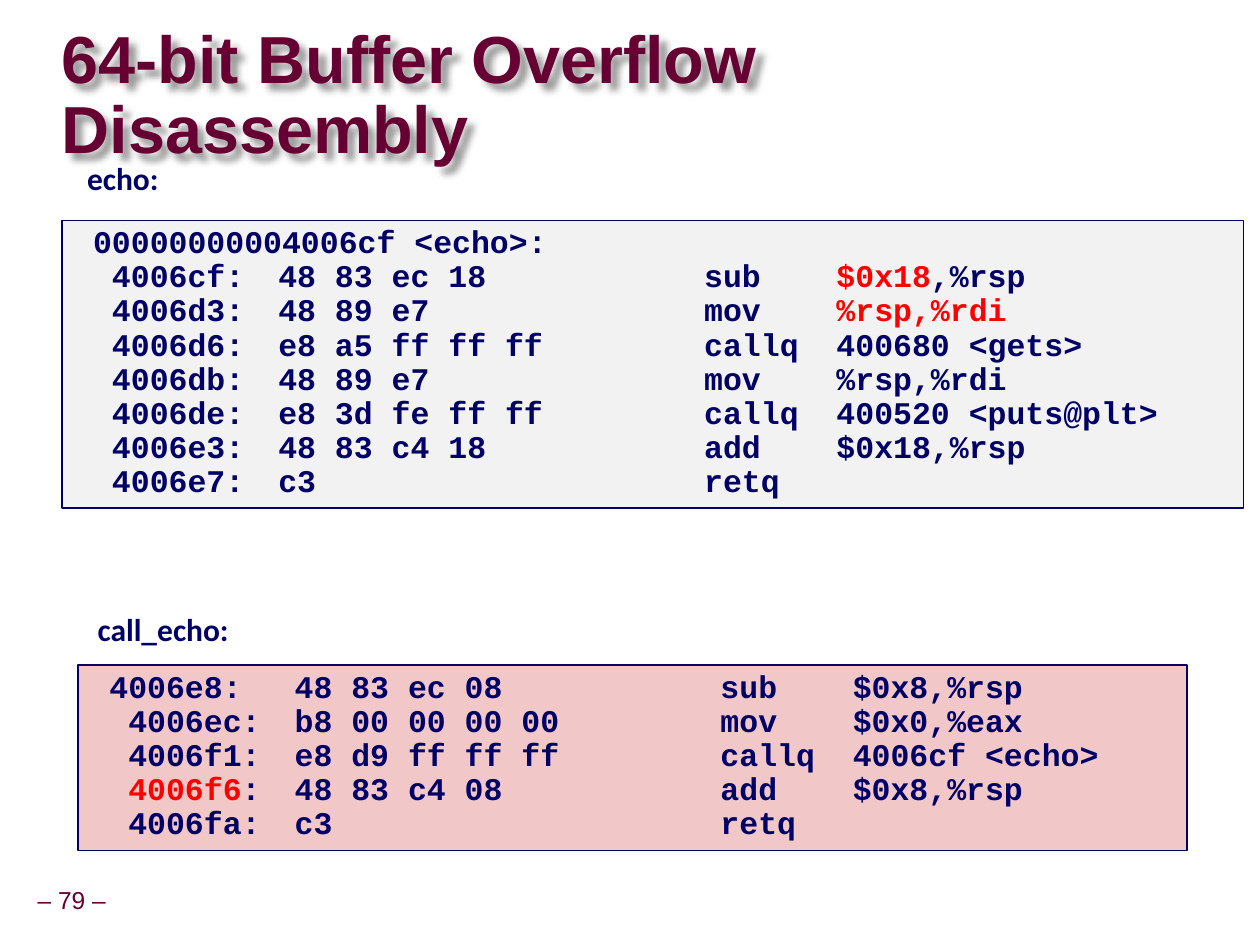
import pptx
import pptx.dml.color
import pptx.enum.shapes
import pptx.enum.text
import pptx.oxml
import pptx.oxml.ns
import pptx.util
from pptx.util import Inches

NAVY = "000066"
MAROON = "660033"
RED = "FF0000"
CODE_TABS = (1.62, 5, 6.05)  # bytes, instruction, operands

# Text between bars is highlighted.
ECHO_CODE = (
    " 00000000004006cf <echo>:",
    "  4006cf:\t48 83 ec 18\tsub\t|$0x18|,%rsp",
    "  4006d3:\t48 89 e7\tmov\t|%rsp,%rdi|",
    "  4006d6:\te8 a5 ff ff ff\tcallq\t400680 <gets>",
    "  4006db:\t48 89 e7\tmov\t%rsp,%rdi",
    "  4006de:\te8 3d fe ff ff\tcallq\t400520 <puts@plt>",
    "  4006e3:\t48 83 c4 18\tadd\t$0x18,%rsp",
    "  4006e7:\tc3\tretq",
)
CALL_ECHO_CODE = (
    " 4006e8:\t48 83 ec 08\tsub\t$0x8,%rsp",
    "  4006ec:\tb8 00 00 00 00\tmov\t$0x0,%eax",
    "  4006f1:\te8 d9 ff ff ff\tcallq\t4006cf <echo>",
    "  |4006f6|:\t48 83 c4 08\tadd\t$0x8,%rsp",
    "  4006fa:\tc3\tretq",
)


def color(value):
    return pptx.dml.color.RGBColor.from_string(value)


def place(shape, left, top, width, height):
    shape.left, shape.top = Inches(left), Inches(top)
    shape.width, shape.height = Inches(width), Inches(height)


def set_margins(frame, horizontal, vertical):
    frame.margin_left = frame.margin_right = Inches(horizontal)
    frame.margin_top = frame.margin_bottom = Inches(vertical)


def add_run(paragraph, text, font_name, size, fill, bold=True):
    run = paragraph.add_run()
    run.text = text
    run.font.name = font_name
    run.font.size = pptx.util.Pt(size)
    run.font.bold = bold
    run.font.color.rgb = color(fill)


def add_tabs(paragraph, positions):
    properties = paragraph._p.get_or_add_pPr()
    tab_list = pptx.oxml.parse_xml(f"<a:tabLst {pptx.oxml.ns.nsdecls('a')}/>")
    for position in positions:
        tab = tab_list.makeelement(pptx.oxml.ns.qn("a:tab"))
        tab.set("pos", str(Inches(position)))
        tab.set("algn", "l")
        tab_list.append(tab)
    properties.append(tab_list)


def add_title(slide, text):
    title = slide.shapes.title
    place(title, 0.49, 0.46, 7.76, 0.63)
    frame = title.text_frame
    set_margins(frame, 0, 0)
    frame.word_wrap = True
    frame.auto_size = pptx.enum.text.MSO_AUTO_SIZE.NONE
    frame.vertical_anchor = pptx.enum.text.MSO_ANCHOR.MIDDLE
    paragraph = frame.paragraphs[0]
    paragraph.alignment = pptx.enum.text.PP_ALIGN.LEFT
    paragraph.line_spacing = 0.87
    paragraph.space_before = pptx.util.Pt(0)
    add_run(paragraph, text, "Arial", 38, MAROON)
    title._element.spPr.append(pptx.oxml.parse_xml(
        f"<a:effectLst {pptx.oxml.ns.nsdecls('a')}>"
        '<a:outerShdw blurRad="50800" dist="63500" dir="2700000" algn="tl">'
        '<a:srgbClr val="000000"><a:alpha val="40000"/></a:srgbClr>'
        "</a:outerShdw></a:effectLst>"))


def add_label(slide, text, bounds, font_name="Calibri", size=18, fill=NAVY, bold=True):
    box = slide.shapes.add_textbox(*map(Inches, bounds))
    frame = box.text_frame
    frame.word_wrap = False
    paragraph = frame.paragraphs[0]
    paragraph.alignment = pptx.enum.text.PP_ALIGN.CENTER
    paragraph.line_spacing = 0.9
    add_run(paragraph, text, font_name, size, fill, bold)
    return frame


def add_code_box(slide, lines, bounds, fill):
    box = slide.shapes.add_shape(
        pptx.enum.shapes.MSO_SHAPE.RECTANGLE, *map(Inches, bounds))
    box.shadow.inherit = False
    box.fill.solid()
    box.fill.fore_color.rgb = color(fill)
    box.line.color.rgb = color(NAVY)
    box.line.width = pptx.util.Pt(1)
    frame = box.text_frame
    set_margins(frame, 0.1, 0.05)
    frame.word_wrap = True
    frame.auto_size = pptx.enum.text.MSO_AUTO_SIZE.SHAPE_TO_FIT_TEXT
    frame.vertical_anchor = pptx.enum.text.MSO_ANCHOR.TOP
    for index, line in enumerate(lines):
        paragraph = frame.add_paragraph() if index else frame.paragraphs[0]
        paragraph.alignment = pptx.enum.text.PP_ALIGN.LEFT
        paragraph.line_spacing = 0.9
        add_tabs(paragraph, CODE_TABS)
        for part, text in enumerate(line.split("|")):
            if text:
                add_run(paragraph, text, "Courier New", 18, RED if part % 2 else NAVY)


def main():
    presentation = pptx.Presentation()
    presentation.slide_width = Inches(10)
    presentation.slide_height = Inches(7.5)
    slide = presentation.slides.add_slide(presentation.slide_layouts[5])

    add_title(slide, "64-bit Buffer Overflow Disassembly")
    page_number = add_label(
        slide, "– 79 –", (0.24, 7, 0.66, 0.31), "Arial", 14, MAROON, bold=False)
    set_margins(page_number, 0.05, 0.05)
    page_number.vertical_anchor = pptx.enum.text.MSO_ANCHOR.MIDDLE

    add_code_box(slide, ECHO_CODE, (0.49, 1.75, 9.38, 2.28), "F2F2F2")
    add_code_box(slide, CALL_ECHO_CODE, (0.62, 5.28, 8.8, 1.47), "F1C7C7")
    add_label(slide, "call_echo:", (0.49, 4.83, 1.61, 0.5))
    add_label(slide, "echo:", (0.49, 1.25, 0.97, 0.5))

    presentation.save("out.pptx")


if __name__ == "__main__":
    main()
